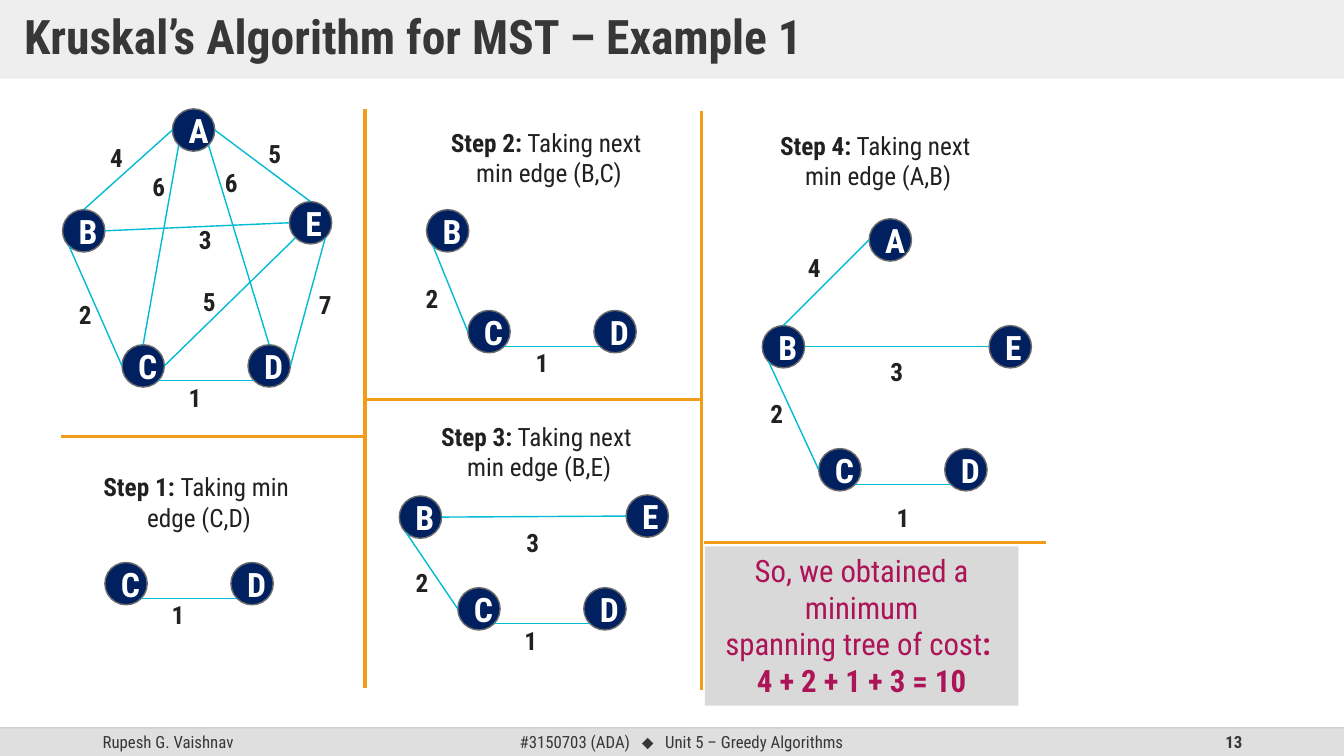
from dataclasses import dataclass

from lxml.etree import SubElement as Sub
from pptx import Presentation
from pptx.dml.color import RGBColor as Rgb
from pptx.enum.shapes import MSO_CONNECTOR as Link, MSO_SHAPE as Kind
from pptx.enum.text import MSO_ANCHOR as Anchor, MSO_AUTO_SIZE as Auto, PP_ALIGN as Align
from pptx.oxml.ns import qn
from pptx.util import Inches, Pt


@dataclass(frozen=True)
class Theme:
    """Fonts, colours and type sizes of the slide."""

    face: str = "Roboto Condensed"
    sign: str = "Arial"
    ink: str = "212121"
    dark: str = "373737"
    white: str = "FFFFFF"
    navy: str = "002060"
    ring: str = "6B6B6B"
    edge: str = "00BBD3"
    rule: str = "F19D19"
    band: str = "DFDFDF"
    hair: str = "BFBFBF"
    panel: str = "D9D9D9"
    rose: str = "AD1457"
    title: int = 34
    node: int = 24
    sum: int = 22
    body: int = 18
    foot: int = 12


SIZE = 0.42
DIAG = 0.7
PORTS = {
    "n": (0, -1), "s": (0, 1), "w": (-1, 0), "e": (1, 0),
    "sw": (-DIAG, DIAG), "se": (DIAG, DIAG),
}


class Deck:
    """Draws the elements of one slide in one style."""

    def __init__(self, theme):
        self.theme = theme
        self.prs = Presentation()
        self.prs.slide_width, self.prs.slide_height = Inches(13.33), Inches(7.5)
        self.slide = self.prs.slides.add_slide(self.prs.slide_layouts[6])
        self.shapes = self.slide.shapes

    def fade(self, item, alpha):
        """Make the first colour of a shape partly clear."""
        color = next(item._element.spPr.iter(qn("a:srgbClr")))
        Sub(color, qn("a:alpha")).set("val", str(alpha * 1000))

    def words(self, frame, lines, size, color, align=Align.CENTER, bold=False):
        """Set paragraphs, with bold parts between asterisks."""
        for i, line in enumerate(lines):
            para = frame.add_paragraph() if i else frame.paragraphs[0]
            para.alignment = align
            font = para.font
            font.name, font.size = self.theme.face, Pt(size)
            font.color.rgb = Rgb.from_string(color)
            parts = line.split("*")
            if len(parts) == 1:
                font.bold = bold
            for j, part in enumerate(parts):
                if part:
                    run = para.add_run()
                    run.text = part
                    if len(parts) > 1:
                        run.font.bold = j % 2 == 1

    def shape(self, kind, box, fill, line=None):
        """Add a filled shape."""
        item = self.shapes.add_shape(kind, *map(Inches, box))
        item.shadow.inherit = False
        item.fill.solid()
        item.fill.fore_color.rgb = Rgb.from_string(fill)
        if line:
            item.line.color.rgb = Rgb.from_string(line)
            item.line.width = Pt(1)
        else:
            item.line.fill.background()
        return item

    def text(self, box, lines, size, color, wrap=False, anchor=Anchor.TOP, **style):
        """Add a text box."""
        frame = self.shapes.add_textbox(*map(Inches, box)).text_frame
        frame.word_wrap = wrap
        frame.vertical_anchor = anchor
        if not wrap:
            frame.auto_size = Auto.SHAPE_TO_FIT_TEXT
        self.words(frame, lines, size, color, **style)
        return frame

    def line(self, start, end, color, width=1):
        """Add a straight line."""
        item = self.shapes.add_connector(Link.STRAIGHT, *map(Inches, (*start, *end)))
        item.line.color.rgb = Rgb.from_string(color)
        item.line.width = Pt(width)
        Sub(item._element.spPr, qn("a:effectLst"))
        return item

    def graph(self, nodes, edges):
        """Draw named nodes and the weighted edges between their ports."""
        look = self.theme
        for name, (x, y) in nodes.items():
            item = self.shape(Kind.OVAL, (x, y, SIZE, SIZE), look.navy, look.ring)
            item.text_frame.vertical_anchor = Anchor.MIDDLE
            self.words(item.text_frame, [name], look.node, look.white, bold=True)
        for start, end, cost, x, y in edges:
            ends = []
            for spot in (start, end):
                name, port = spot.split(".")
                ends.append([c + SIZE / 2 * (1 + d) for c, d in zip(nodes[name], PORTS[port])])
            self.line(*ends, look.edge)
            self.text((x, y, 0.33, 0.4), [cost], look.body, look.ink, bold=True)

    def step(self, box, *lines):
        """Add the caption of a step."""
        self.text(box, lines, self.theme.body, self.theme.ink)

    def foot(self, x, width, words, align, bold=False):
        """Add a footer text."""
        return self.text((x, 7.22, width, 0.28), [words], self.theme.foot, self.theme.dark,
                         wrap=True, anchor=Anchor.MIDDLE, align=align, bold=bold)

    def frame(self):
        """Draw the title band and the footer."""
        look = self.theme
        self.shape(Kind.RECTANGLE, (0, 7.22, 13.33, 0.28), look.band)
        self.foot(0.92, 3, "Rupesh G. Vaishnav", Align.LEFT)
        para = self.foot(4.42, 4.68, "#3150703 (ADA)   ", Align.CENTER).paragraphs[0]
        mark = para.add_run()
        mark.text, mark.font.name = "⬥", look.sign
        para.add_run().text = "   Unit 5 – Greedy Algorithms"
        self.foot(9.42, 3, "13", Align.RIGHT, True)
        self.fade(self.line((0, 7.22), (13.33, 7.22), look.hair), 70)
        band = self.shape(Kind.RECTANGLE, (0, 0, 13.33, 0.78), look.band)
        self.fade(band, 50)
        body = band.text_frame
        body.margin_left = body.margin_right = Inches(0.24)
        body.margin_top = body.margin_bottom = Inches(0.12)
        body.vertical_anchor = Anchor.MIDDLE
        self.words(body, ["Kruskal’s Algorithm for MST – Example 1"],
                   look.title, look.dark, Align.LEFT, True)
        body.paragraphs[0].line_spacing = 0.9

    def total(self, box, *lines):
        """Add the panel with the cost of the tree."""
        look = self.theme
        body = self.shape(Kind.RECTANGLE, box, look.panel).text_frame
        body.word_wrap = True
        body.vertical_anchor = Anchor.TOP
        body.auto_size = Auto.SHAPE_TO_FIT_TEXT
        self.words(body, lines, look.sum, look.rose)


def main():
    """Build the slide and save it."""
    deck = Deck(Theme())
    deck.frame()
    deck.graph(
        {"A": (1.71, 1.08), "B": (0.62, 2.08), "C": (1.21, 3.42), "D": (2.46, 3.42), "E": (2.87, 2)},
        [("A.w", "B.n", "4", 0.99, 1.36), ("B.sw", "C.w", "2", 0.68, 2.92),
         ("C.se", "D.sw", "1", 1.77, 3.74), ("A.e", "E.n", "5", 2.56, 1.32),
         ("E.se", "D.e", "7", 3.06, 2.82), ("A.sw", "C.n", "6", 1.41, 1.65),
         ("A.se", "D.n", "6", 2.13, 1.61), ("C.e", "E.sw", "5", 1.91, 2.79),
         ("B.e", "E.w", "3", 1.87, 2.18)])
    deck.step((0.91, 4.63, 2.13, 0.71), "*Step 1: *Taking min ", "edge (C,D)")
    deck.graph({"C": (1.04, 5.58), "D": (2.29, 5.58)}, [("C.se", "D.sw", "1", 1.6, 5.9)])
    deck.step((4.35, 1.21, 2.19, 0.71), "*Step 2:* Taking next ", "min edge (B,C)")
    deck.graph(
        {"B": (4.23, 2.08), "C": (4.64, 3.08), "D": (5.89, 3.08)},
        [("B.sw", "C.w", "2", 4.12, 2.76), ("C.se", "D.sw", "1", 5.21, 3.4)])
    deck.step((4.12, 4.13, 2.4, 0.71), "*Step 3:* Taking next", " min edge (B,E)")
    deck.graph(
        {"B": (3.96, 4.92), "C": (4.54, 5.83), "D": (5.79, 5.83), "E": (6.21, 4.91)},
        [("B.sw", "C.w", "2", 4.02, 5.58), ("C.se", "D.sw", "1", 5.1, 6.15),
         ("B.e", "E.w", "3", 5.12, 5.18)])
    deck.step((7.54, 1.24, 2.34, 0.71), "*Step 4:* Taking next ", "min edge (A,B)")
    deck.graph(
        {"B": (7.56, 3.23), "C": (8.12, 4.45), "D": (9.37, 4.45), "E": (9.81, 3.23), "A": (8.62, 2.17)},
        [("B.sw", "C.w", "2", 7.54, 3.9), ("C.se", "D.sw", "1", 8.79, 4.93),
         ("B.e", "E.w", "3", 8.73, 3.49), ("A.w", "B.n", "4", 7.91, 2.45)])
    for start, end in [((3.62, 1.08), (3.62, 6.83)), ((6.96, 1.1), (6.96, 6.85)),
                       ((0.61, 4.33), (3.61, 4.33)), ((3.61, 3.96), (6.96, 3.96)),
                       ((6.98, 5.38), (10.37, 5.38))]:
        deck.line(start, end, deck.theme.rule, 2.25)
    deck.total((6.99, 5.42, 3.11, 1.58), "So, we obtained a minimum",
               "spanning tree of cost*: *", "*4 + 2 + 1 + 3 = 10*")
    deck.prs.save("out.pptx")


if __name__ == "__main__":
    main()
